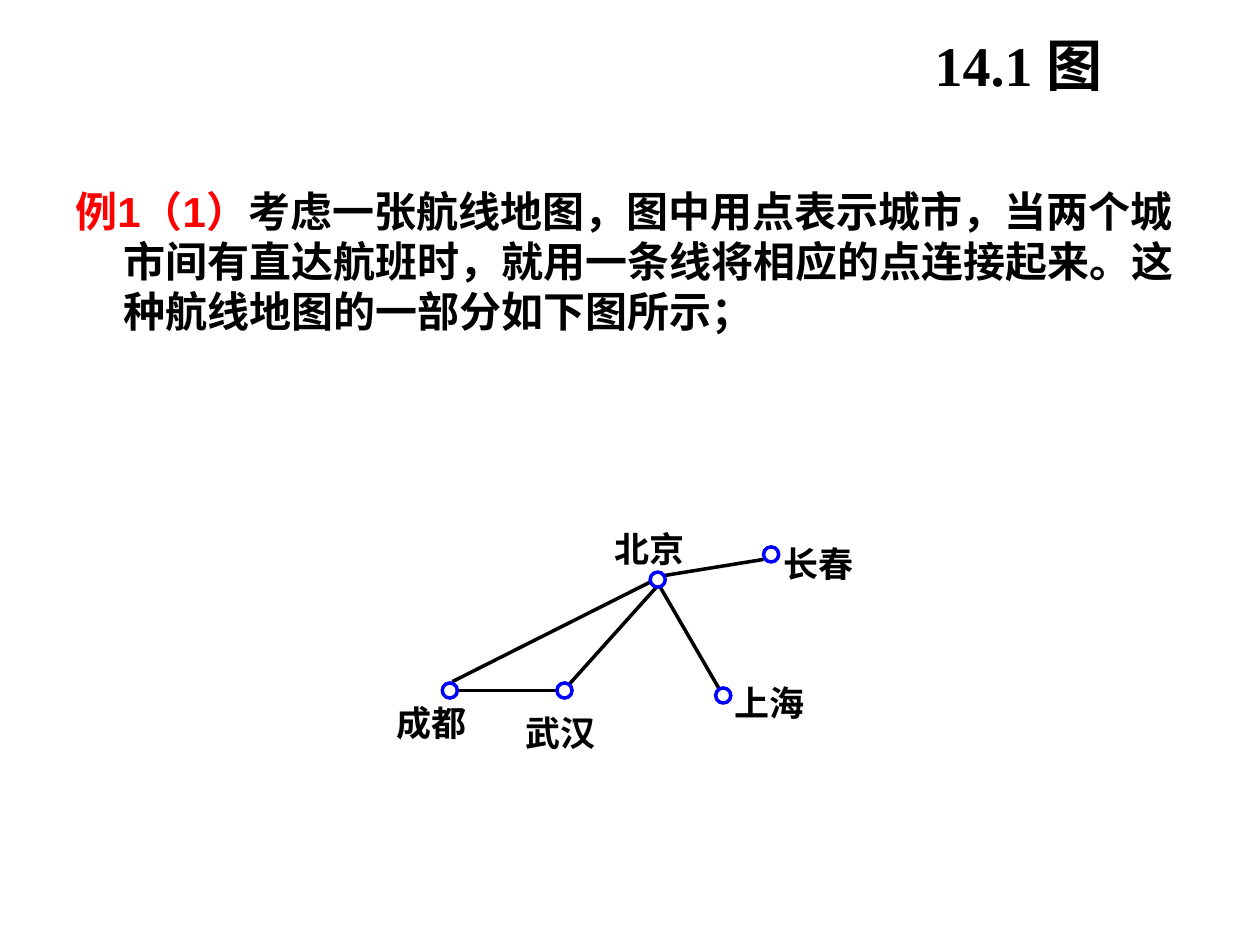
import pptx
import pptx.util
import pptx.dml.color
import pptx.oxml.ns
import pptx.enum.shapes
import pptx.enum.text
from lxml import etree

COLORS = {"ink": "000000", "accent": "FF0000", "node": "0000FF", "paper": "FFFFFF"}
CJK_FONT = "Noto Sans CJK SC"
ALIGN = pptx.enum.text.PP_ALIGN
ANCHOR = pptx.enum.text.MSO_ANCHOR
CELL = 0.1  # the slide is a grid of 100 columns by 75 rows

# City: node centre and label corner, in cells from the map's corner
CITIES = {
    "成都": ((4.2, 13.2), (0, 14.1)),
    "北京": ((20.7, 4.4), (17.3, 0.3)),
    "长春": ((29.7, 2.4), (30.7, 1.5)),
    "上海": ((25.9, 13.6), (26.8, 12.5)),
    "武汉": ((13.3, 13.2), (10.2, 14.9)),
}
# Direct flights: both ends, at the rims of the city nodes
ROUTES = [
    ((21.1, 4.1), (29.1, 2.8)),   # 北京–长春
    ((20.1, 4.6), (4.4, 12.5)),   # 北京–成都
    ((12.6, 13.2), (4.7, 13.2)),  # 武汉–成都
    ((20.6, 5), (13.5, 12.9)),    # 北京–武汉
    ((20.9, 5), (26, 13.8)),      # 北京–上海
]
NODE_SIZE = 1.2
LABEL_SIZE = (6.3, 3.3)


def cells(*values):
    return [pptx.util.Inches(value * CELL) for value in values]


def rgb(name):
    return pptx.dml.color.RGBColor.from_string(COLORS[name])


def add_text(shapes, box, runs, size, font, align=ALIGN.LEFT, anchor=ANCHOR.TOP,
             line_height=None, hanging=0, inset=True, wrap=True):
    """Place one bold paragraph; runs are (text, colour name) pairs."""
    frame = shapes.add_textbox(*cells(*box)).text_frame
    frame.word_wrap = wrap
    frame.vertical_anchor = anchor
    if not inset:
        frame.margin_left = frame.margin_right = 0
        frame.margin_top = frame.margin_bottom = 0
    paragraph = frame.paragraphs[0]
    paragraph.alignment = align
    if line_height:
        paragraph.line_spacing = pptx.util.Pt(line_height)
    if hanging:
        indent = cells(hanging)[0]
        properties = paragraph._p.get_or_add_pPr()
        properties.set("marL", str(indent))
        properties.set("indent", str(-indent))
    for text, color in runs:
        run = paragraph.add_run()
        run.text = text
        run.font.size = pptx.util.Pt(size)
        run.font.bold = True
        run.font.name = font
        run.font.color.rgb = rgb(color)
        east_asian = etree.SubElement(run._r.get_or_add_rPr(), pptx.oxml.ns.qn("a:ea"))
        east_asian.set("typeface", CJK_FONT)


def add_route(shapes, start, end):
    route = shapes.add_connector(pptx.enum.shapes.MSO_CONNECTOR.STRAIGHT,
                                 *cells(*start, *end))
    route.line.color.rgb = rgb("ink")
    route.line.width = pptx.util.Pt(2)
    etree.SubElement(route._element.spPr, pptx.oxml.ns.qn("a:effectLst"))


def add_city_node(shapes, x, y):
    node = shapes.add_shape(
        pptx.enum.shapes.MSO_SHAPE.OVAL,
        *cells(x - NODE_SIZE / 2, y - NODE_SIZE / 2, NODE_SIZE, NODE_SIZE))
    node.shadow.inherit = False
    node.fill.solid()
    node.fill.fore_color.rgb = rgb("paper")
    node.line.color.rgb = rgb("node")
    node.line.width = pptx.util.Pt(2)


def build_title(slide, box):
    add_text(slide.shapes, box, [("14.1 图", "ink")], 32, "Times New Roman",
             align=ALIGN.RIGHT, anchor=ANCHOR.MIDDLE)


def build_example(slide, box):
    runs = [
        ("例1（1）", "accent"),
        ("考虑一张航线地图，图中用点表示城市，当两个城市间有直达航班时，"
         "就用一条线将相应的点连接起来。这种航线地图的一部分如下图所示；", "ink"),
    ]
    add_text(slide.shapes, box, runs, 24, "Arial", line_height=28.5, hanging=3.8)


def build_route_map(slide, left, top):
    def place(point):
        return left + point[0], top + point[1]

    shapes = slide.shapes.add_group_shape().shapes
    for start, end in ROUTES:
        add_route(shapes, place(start), place(end))
    for city, (center, corner) in CITIES.items():
        add_text(shapes, (*place(corner), *LABEL_SIZE), [(city, "ink")], 20,
                 "Times New Roman", align=ALIGN.JUSTIFY, line_height=23.75,
                 inset=False, wrap=False)
        add_city_node(shapes, *place(center))


def main():
    deck = pptx.Presentation()
    deck.slide_width, deck.slide_height = cells(100, 75)
    slide = deck.slides.add_slide(deck.slide_layouts[6])
    build_title(slide, (21.6, 2.8, 66.9, 4.6))
    build_example(slide, (5, 14.3, 90, 18.5))
    build_route_map(slide, 31.5, 41.6)
    deck.save("out.pptx")


if __name__ == "__main__":
    main()
